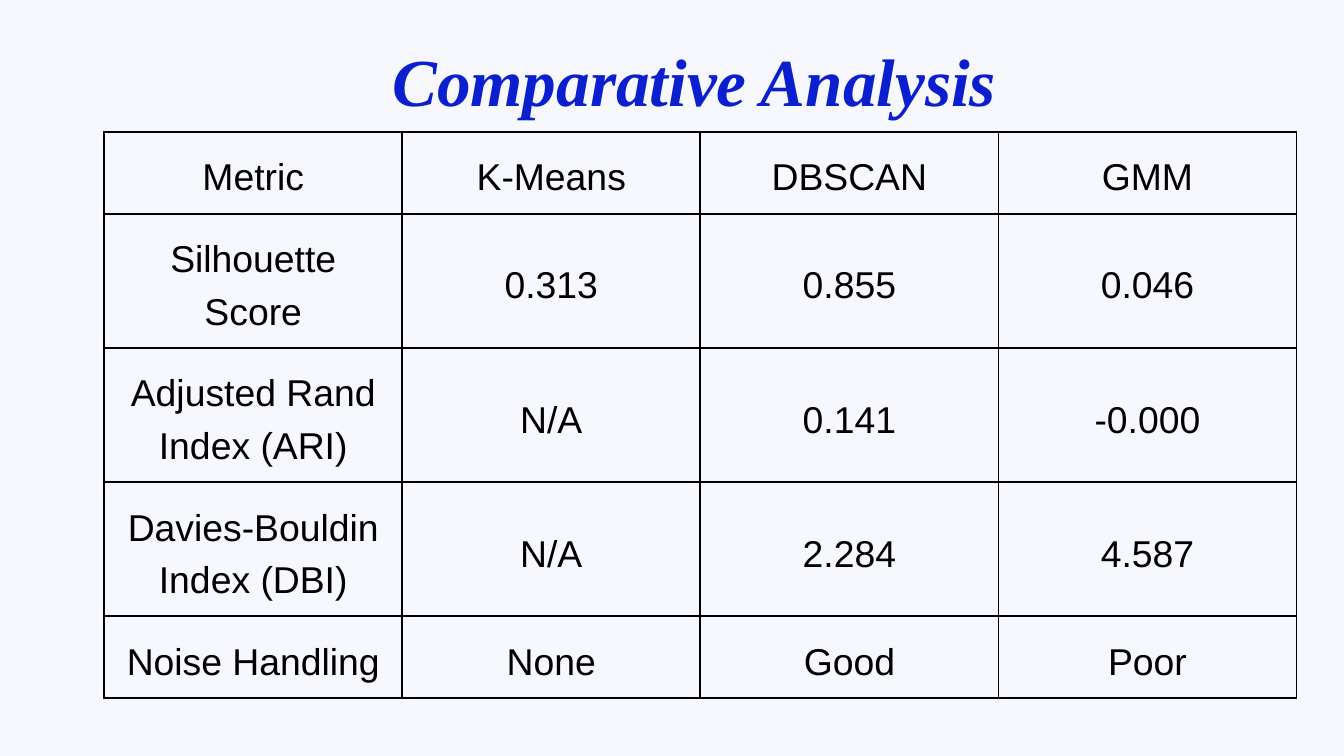
from lxml.etree import SubElement
from pptx import Presentation
from pptx.dml.color import RGBColor
from pptx.enum.text import MSO_ANCHOR, MSO_AUTO_SIZE, PP_ALIGN
from pptx.oxml.ns import qn
from pptx.util import Inches, Pt

HUES = {"back": "F6F8FE", "title": "0C1FCE", "ink": "000000"}
ROWS = [
    ["Metric", "K-Means", "DBSCAN", "GMM"],
    ["Silhouette Score", "0.313", "0.855", "0.046"],
    ["Adjusted Rand Index (ARI)", "N/A", "0.141", "-0.000"],
    ["Davies-Bouldin Index (DBI)", "N/A", "2.284", "4.587"],
    ["Noise Handling", "None", "Good", "Poor"],
]
UNITS = 100


class Deck:
    def __init__(self):
        self.prs = Presentation()
        self.prs.slide_width = Inches(20)
        self.prs.slide_height = Inches(11.25)
        self.slide = self.prs.slides.add_slide(self.prs.slide_layouts[5])
        fill = self.slide.background.fill
        fill.solid()
        fill.fore_color.rgb = self.hue("back")

    def hue(self, name):
        return RGBColor.from_string(HUES[name])

    def col(self, n):
        return round(self.prs.slide_width * n / UNITS)

    def row(self, n):
        return round(self.prs.slide_height * n / UNITS)

    def text(self, frame, words, face, size, hue, bold=False, slant=False):
        para = frame.paragraphs[0]
        para.alignment = PP_ALIGN.CENTER
        para.line_spacing = Pt(size * 1.4)
        run = para.add_run()
        run.text = words
        font = run.font
        font.name, font.size = face, Pt(size)
        font.bold, font.italic = bold, slant
        font.color.rgb = self.hue(hue)

    def title(self, words, x, y, w, h):
        shape = self.slide.shapes.title
        shape.left, shape.top = self.col(x), self.row(y)
        shape.width, shape.height = self.col(w), self.row(h)
        frame = shape.text_frame
        frame.margin_left = frame.margin_right = 0
        frame.margin_top = frame.margin_bottom = 0
        frame.vertical_anchor = MSO_ANCHOR.TOP
        frame.word_wrap = True
        frame.auto_size = MSO_AUTO_SIZE.NONE
        self.text(frame, words, "Times New Roman", 72, "title", True, True)

    def border(self, cell):
        props = cell._tc.get_or_add_tcPr()
        for spot, side in enumerate(("a:lnL", "a:lnR", "a:lnT", "a:lnB")):
            line = props.makeelement(qn(side), {"w": str(Pt(2.25))})
            fill = SubElement(line, qn("a:solidFill"))
            SubElement(fill, qn("a:srgbClr"), val=HUES["ink"])
            props.insert(spot, line)

    def table(self, data, x, y, wide, highs):
        count = len(data[0])
        grid = self.slide.shapes.add_table(
            len(data), count, self.col(x), self.row(y),
            self.col(wide * count), self.row(sum(highs))).table
        grid.first_row = grid.horz_banding = False
        for column in grid.columns:
            column.width = self.col(wide)
        for line, high, texts in zip(grid.rows, highs, data):
            line.height = self.row(high)
            for cell, words in zip(line.cells, texts):
                self.cell(cell, words)

    def cell(self, cell, words):
        cell.fill.background()
        cell.vertical_anchor = MSO_ANCHOR.MIDDLE
        cell.margin_left = cell.margin_right = Pt(15)
        cell.margin_top = cell.margin_bottom = Pt(15)
        self.text(cell.text_frame, words, "Arial", 40, "ink")
        self.border(cell)


def main():
    deck = Deck()
    deck.title("Comparative Analysis", 5.6, 3.4, 92.15, 11.9)
    deck.table(ROWS, 7.75, 17.42, 22.18, [10.84, 17.75, 17.75, 17.75, 10.84])
    deck.prs.save("out.pptx")


if __name__ == "__main__":
    main()
